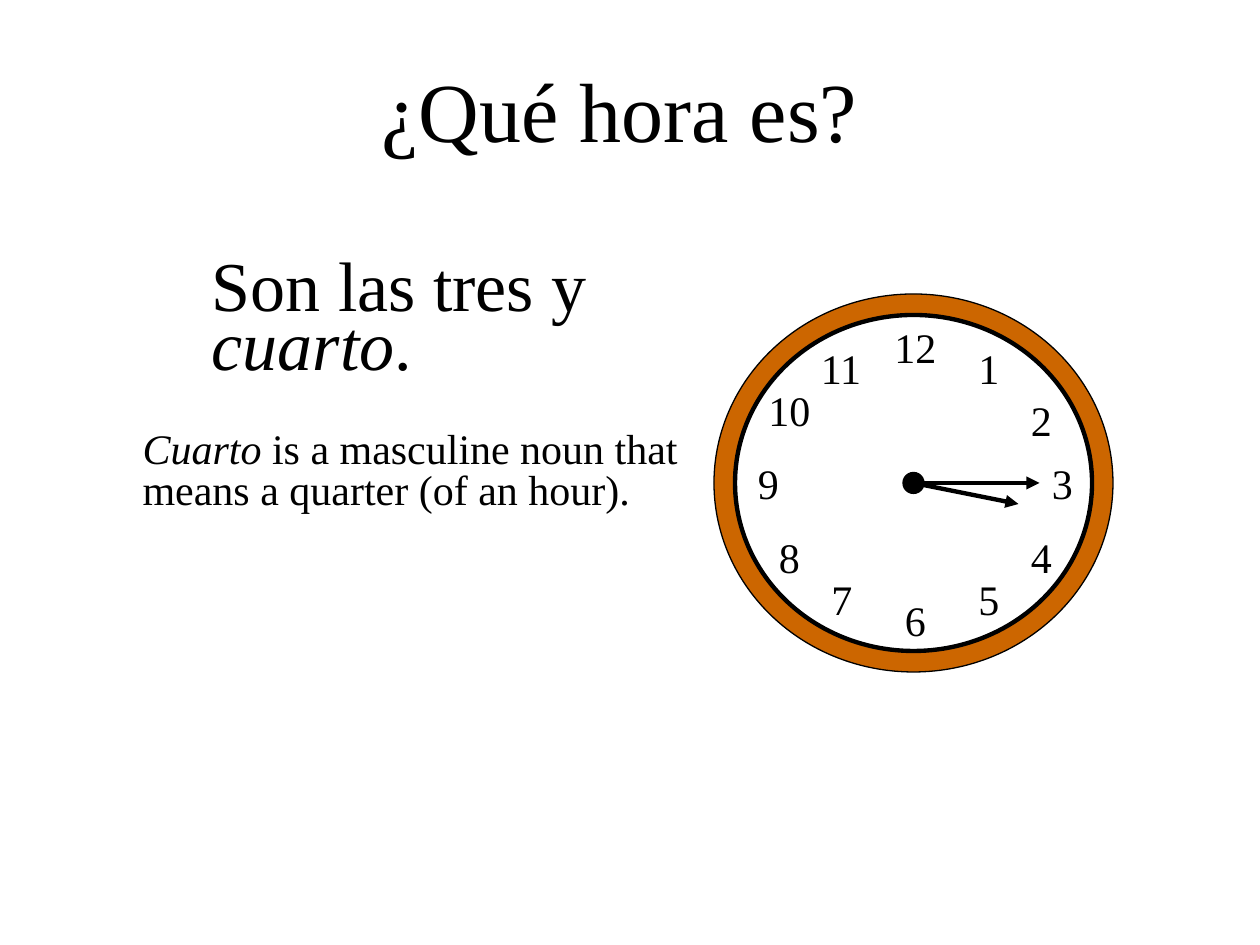
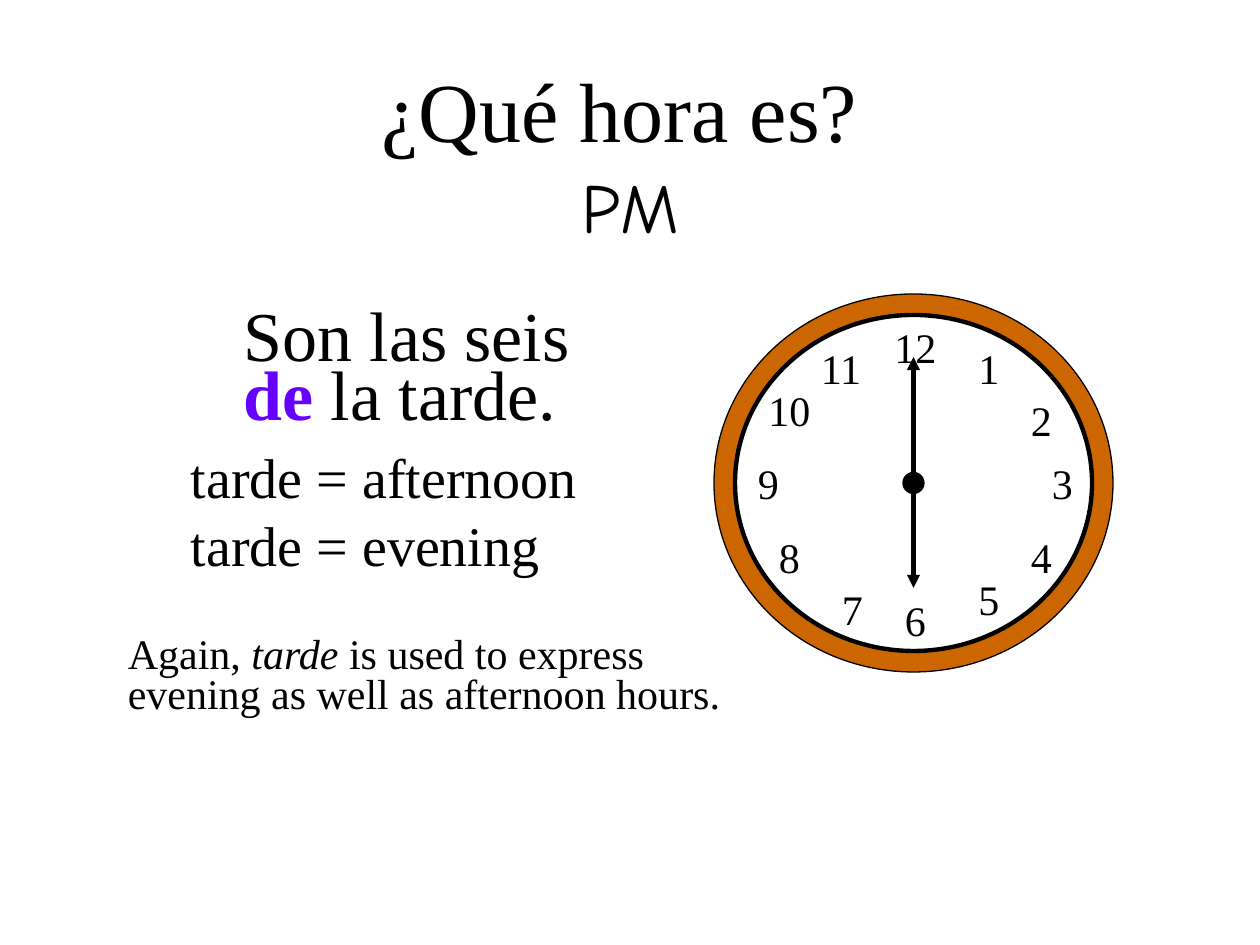
import pptx
import pptx.dml.color
import pptx.enum.shapes
import pptx.enum.text
import pptx.oxml.ns
import pptx.util
from lxml import etree

EMU_PER_PX = 7620
BLACK, WHITE, WOOD, ACCENT = "000000", "FFFFFF", "CC6600", "6600FF"
SERIF, CASUAL = "Times New Roman", "Comic Neue"
LEFT = pptx.enum.text.PP_ALIGN.LEFT
CENTER = pptx.enum.text.PP_ALIGN.CENTER
CLOCK_CENTER = (870, 460)
NUMERAL_BOXES = {
    12: (840, 300, 70), 1: (920, 320, 50), 2: (970, 370, 50),
    3: (990, 430, 50), 4: (970, 500, 40), 5: (920, 540, 50),
    6: (850, 560, 40), 7: (780, 540, 50), 8: (730, 500, 40),
    9: (710, 430, 40), 10: (720, 360, 70), 11: (770, 320, 70),
}


def px(length):
    return pptx.util.Emu(length * EMU_PER_PX)


def color(value):
    return pptx.dml.color.RGBColor.from_string(value)


def add_text(shapes, place, paragraphs, size, font=SERIF, align=LEFT, spacing=None, gap=0):
    """Add a text box; each paragraph is a list of (text, style) spans."""
    box = shapes.add_textbox(*map(px, place))
    frame = box.text_frame
    frame.word_wrap = True
    frame.auto_size = pptx.enum.text.MSO_AUTO_SIZE.SHAPE_TO_FIT_TEXT
    for index, spans in enumerate(paragraphs):
        para = frame.add_paragraph() if index else frame.paragraphs[0]
        para.alignment = align
        if spacing:
            para.line_spacing = spacing
        if index:
            para.space_before = pptx.util.Pt(gap)
        para.font.name = font
        para.font.size = pptx.util.Pt(size)
        para.font.color.rgb = color(BLACK)
        for text, style in spans:
            span = para.add_run()
            span.text = text
            if style == "italic":
                span.font.italic = True
            elif style == "accent":
                span.font.bold = True
                span.font.color.rgb = color(ACCENT)


def add_disc(shapes, radius_x, radius_y, fill, line_width):
    center_x, center_y = CLOCK_CENTER
    place = (center_x - radius_x, center_y - radius_y, 2 * radius_x, 2 * radius_y)
    disc = shapes.add_shape(pptx.enum.shapes.MSO_SHAPE.OVAL, *map(px, place))
    disc.shadow.inherit = False
    disc.fill.solid()
    disc.fill.fore_color.rgb = color(fill)
    disc.line.color.rgb = color(BLACK)
    disc.line.width = pptx.util.Pt(line_width)


def add_hand(shapes, tip):
    hand = shapes.add_connector(
        pptx.enum.shapes.MSO_CONNECTOR.STRAIGHT, *map(px, CLOCK_CENTER + tip))
    hand.line.color.rgb = color(BLACK)
    hand.line.width = pptx.util.Pt(2.5)
    qn = pptx.oxml.ns.qn
    etree.SubElement(hand.line._get_or_add_ln(), qn("a:tailEnd"), type="triangle")
    etree.SubElement(hand._element.spPr, qn("a:effectLst"))


def add_clock(shapes, minute_tip, hour_tip, moved_numerals=None):
    add_disc(shapes, 190, 180, WOOD, 0.75)
    add_disc(shapes, 170, 160, WHITE, 2.5)
    for numeral, (left, top, width) in (NUMERAL_BOXES | (moved_numerals or {})).items():
        add_text(shapes, (left, top, width, 60), [[(str(numeral), None)]], 24)
    add_disc(shapes, 10, 10, BLACK, 0.75)
    add_hand(shapes, minute_tip)
    add_hand(shapes, hour_tip)


def add_page(deck):
    page = deck.slides.add_slide(deck.slide_layouts[6])
    add_text(page.shapes, (190, 50, 800, 108), [[("¿Qué hora es?", None)]], 48, align=CENTER)
    return page


def add_phrase(page, place, spans):
    add_text(page.shapes, place, [spans], 40, spacing=0.7)


def add_note(page, place, spans):
    add_text(page.shapes, place, [spans], 24, spacing=0.8)


def build_quarter_past(deck):
    page = add_page(deck)
    add_clock(page.shapes, (990, 460), (970, 480))
    add_phrase(page, (190, 246, 510, 125),
               [("Son las tres y ", None), ("cuarto", "italic"), (".", None)])
    add_note(page, (124, 406, 540, 89),
             [("Cuarto", "italic"),
              (" is a masculine noun that means a quarter (of an hour).", None)])


def build_evening(deck):
    page = add_page(deck)
    add_phrase(page, (220, 294, 410, 125),
               [("Son las seis ", None), ("de", "accent"), (" la tarde.", None)])
    clock = page.shapes.add_group_shape()
    add_clock(clock.shapes, (870, 340), (870, 560), {7: (790, 550, 50)})
    add_text(page.shapes, (170, 428, 440, 128),
             [[("tarde = afternoon", None)], [("tarde = evening", None)]],
             32, spacing=0.8, gap=8)
    add_text(page.shapes, (530, 150, 140, 92), [[("PM", None)]], 40, CASUAL, CENTER)
    add_note(page, (110, 601, 610, 89),
             [("Again, ", None), ("tarde", "italic"),
              (" is used to express evening as well as afternoon hours.", None)])


def main():
    deck = pptx.Presentation()
    deck.slide_width, deck.slide_height = px(1200), px(900)
    build_quarter_past(deck)
    build_evening(deck)
    deck.save("out.pptx")


if __name__ == "__main__":
    main()
